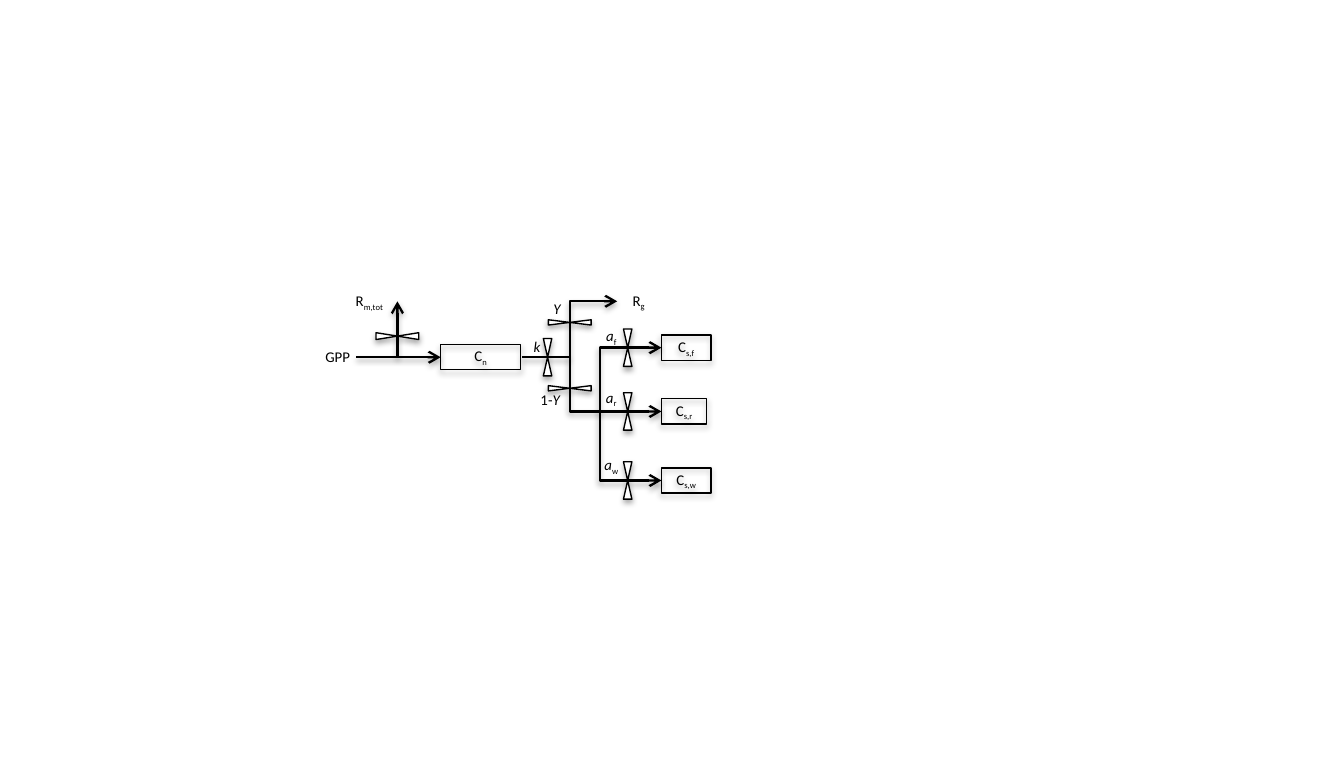
"""Build a slide with a carbon flow diagram from GPP to three structural pools."""
from lxml.etree import SubElement
from pptx import Presentation
from pptx.dml.color import RGBColor
from pptx.enum.shapes import MSO_CONNECTOR, MSO_SHAPE
from pptx.enum.text import MSO_ANCHOR, PP_ALIGN
from pptx.oxml.ns import qn
from pptx.util import Cm, Pt


def color(hex_value):
    return RGBColor.from_string(hex_value)


def write_text(shape, text, subscript="", prefix="", italic=False, size=8):
    frame = shape.text_frame
    frame.word_wrap = True
    frame.vertical_anchor = MSO_ANCHOR.MIDDLE
    frame.margin_left = frame.margin_right = frame.margin_top = frame.margin_bottom = 0
    paragraph = frame.paragraphs[0]
    paragraph.alignment = PP_ALIGN.CENTER
    for part, slanted, baseline in ((prefix, False, 0), (text, italic, 0), (subscript, False, -25000)):
        if part:
            run = paragraph.add_run()
            run.text = part
            run.font.name = "Calibri"
            run.font.size = Pt(size)
            run.font.italic = slanted
            run.font.color.rgb = color("000000")
            if baseline:
                run.font._element.set("baseline", str(baseline))


presentation = Presentation()
presentation.slide_width = Cm(25.5)
presentation.slide_height = Cm(14.5)
slide = presentation.slides.add_slide(presentation.slide_layouts[6])
shapes = slide.shapes

main_y, root_y, top_y = 6.78, 7.81, 5.72
respiration_x, split_x, allocation_x, valve_x, pool_x = 7.54, 10.81, 11.38, 11.91, 12.55
pools = [
    ("f", 6.6, 0.94, 6.39),
    ("r", root_y, 0.86, 7.56),
    ("w", 9.12, 0.94, 8.85),
]

arrows = [
    (6.76, main_y, 8.36, main_y, None),
    (respiration_x, main_y, respiration_x, top_y, None),
    (allocation_x, root_y, pool_x, pools[2][1], 0),
    (allocation_x, root_y, pool_x, pools[0][1], 0),
    (split_x, main_y, pool_x, root_y, 0),
    (split_x - 0.9, main_y, split_x + 0.9, top_y, 50000),
]
for start_x, start_y, end_x, end_y, bend in arrows:
    kind = MSO_CONNECTOR.STRAIGHT if bend is None else MSO_CONNECTOR.ELBOW
    arrow = shapes.add_connector(kind, Cm(start_x), Cm(start_y), Cm(end_x), Cm(end_y))
    arrow.line.color.rgb = color("000000")
    arrow.line.width = Pt(1.25)
    SubElement(arrow.line._get_or_add_ln(), qn("a:tailEnd"), type="arrow")
    if bend is not None:
        adjustments = arrow._element.spPr.find(".//" + qn("a:avLst"))
        SubElement(adjustments, qn("a:gd"), name="adj1", fmla=f"val {bend}")

valves = [
    (10.39, main_y, 0.16, 0.71, 0),
    (respiration_x, 6.38, 0.13, 0.81, 90),
    (split_x, 6.12, 0.1, 0.81, 90),
    (split_x, 7.37, 0.1, 0.81, 90),
]
valves += [(valve_x, pool_y, 0.16, 0.71, 0) for _, pool_y, _, _ in pools]
for center_x, center_y, width, height, rotation in valves:
    valve = shapes.add_shape(
        MSO_SHAPE.FLOWCHART_COLLATE,
        Cm(center_x - width / 2), Cm(center_y - height / 2), Cm(width), Cm(height),
    )
    valve.rotation = rotation
    valve.fill.solid()
    valve.fill.fore_color.rgb = color("FFFFFF")
    valve.line.color.rgb = color("000000")
    valve.line.width = Pt(0.75)

boxes = [("n", 8.36, main_y, 1.52)]
boxes += [(f"s,{name}", pool_x, pool_y, width) for name, pool_y, width, _ in pools]
for subscript, left, center_y, width in boxes:
    box = shapes.add_shape(MSO_SHAPE.RECTANGLE, Cm(left), Cm(center_y - 0.24), Cm(width), Cm(0.48))
    box.fill.background()
    box.line.color.rgb = color("000000")
    box.line.width = Pt(0.75)
    write_text(box, "C", subscript=subscript)

for shape in shapes:
    shape.shadow.inherit = False
    effects = shape._element.spPr.find(qn("a:effectLst"))if shape._element.spPr.find(qn("a:effectLst")) is not None else SubElement(shape._element.spPr, qn("a:effectLst"))
    shadow = SubElement(
        effects, qn("a:outerShdw"),
        blurRad=str(Pt(3.1)), dist=str(Pt(1.8)), dir="5400000", rotWithShape="0",
    )
    shadow_color = SubElement(shadow, qn("a:srgbClr"), val="000000")
    SubElement(shadow_color, qn("a:alpha"), val="35000")

labels = [
    (6.41, 6.77, "GPP", {}),
    (7.01, 5.73, "R", {"subscript": "m,tot"}),
    (12.12, top_y, "R", {"subscript": "g"}),
    (10.19, 6.57, "k", {"italic": True}),
    (10.57, 5.85, "Y", {"italic": True}),
    (10.44, 7.58, "Y", {"prefix": "1-", "italic": True}),
]
labels += [(11.6, label_y, "a", {"subscript": name, "italic": True}) for name, _, _, label_y in pools]
for center_x, center_y, text, text_format in labels:
    label = shapes.add_textbox(Cm(center_x - 0.5), Cm(center_y - 0.24), Cm(1), Cm(0.48))
    write_text(label, text, **text_format)

presentation.save("out.pptx")
